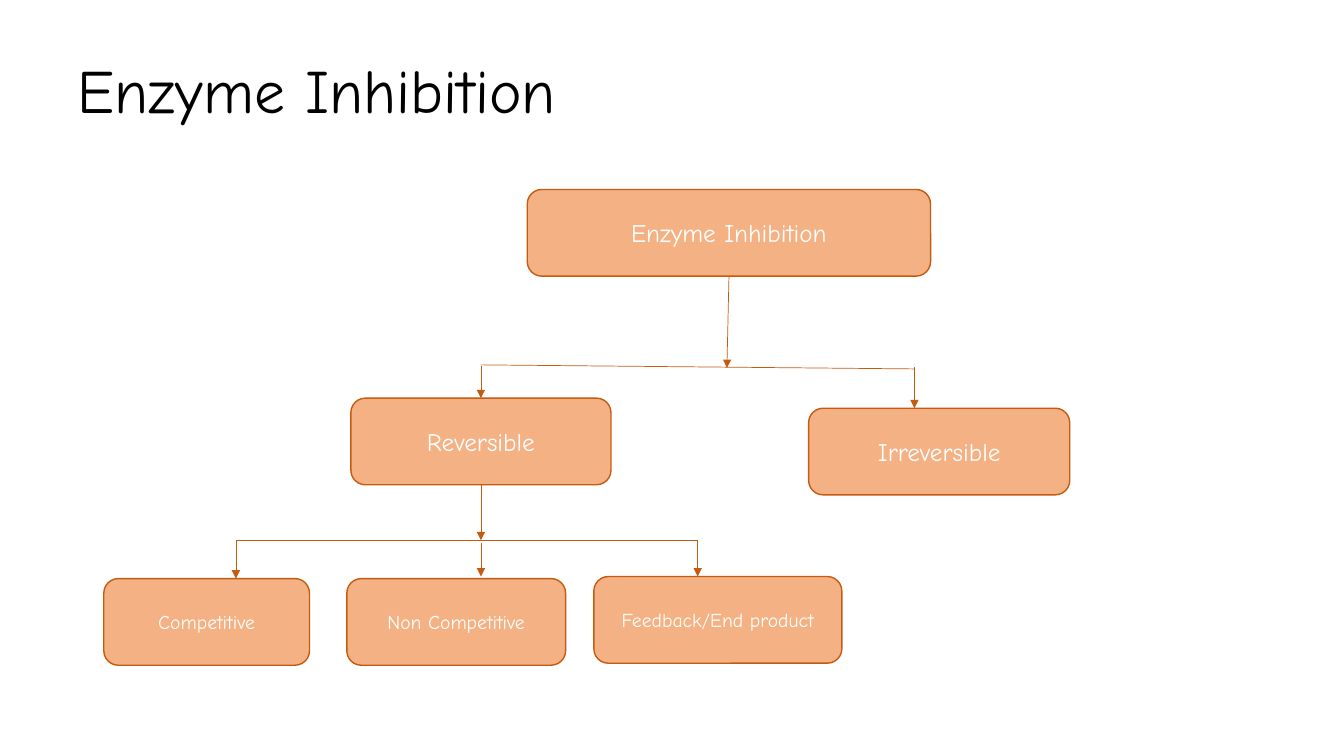
"""Build the enzyme inhibition classification slide."""
from lxml import etree
from pptx import Presentation
from pptx.dml.color import RGBColor
from pptx.enum.shapes import MSO_CONNECTOR, MSO_SHAPE
from pptx.enum.text import MSO_ANCHOR, PP_ALIGN
from pptx.oxml.ns import qn
from pptx.util import Inches, Pt

FONT = "Comic Neue"
BLACK, WHITE, PEACH, RUST = "000000", "FFFFFF", "F4B183", "C55A11"
TITLE = "Enzyme Inhibition"
BOX_HEIGHT = 0.86
TOP, BOTTOM = 0, 2

# label: (left, top, width, text size)
BOXES = {
    "Enzyme Inhibition": (5.23, 1.88, 4, 18),
    "Reversible": (3.48, 3.95, 2.58, 18),
    "Irreversible": (8.02, 4.05, 2.59, 18),
    "Competitive": (1.03, 5.74, 2.04, 14),
    "Non Competitive": (3.44, 5.74, 2.17, 14),
    "Feedback/End product": (5.89, 5.72, 2.46, 14),
}

# start, end, joined start (label, side), joined end (label, side)
ARROWS = [
    ((7.23, 2.74), (7.21, 3.65), ("Enzyme Inhibition", BOTTOM), None),
    ((4.77, 3.63), (4.77, 3.95), None, ("Reversible", TOP)),
    ((9.07, 3.64), (9.07, 4.05), None, None),
    ((4.77, 4.81), (4.77, 5.36), ("Reversible", BOTTOM), None),
    ((2.34, 5.36), (2.34, 5.74), None, None),
    ((4.77, 5.39), (4.77, 5.72), None, None),
    ((6.92, 5.36), (6.92, 5.72), None, None),
]
BRANCHES = [((4.77, 3.62), (9.07, 3.66)), ((2.34, 5.36), (6.92, 5.36))]


def color(value):
    return RGBColor.from_string(value)


def write(shape, text, size, ink, align):
    frame = shape.text_frame
    frame.text = text
    frame.word_wrap = True
    frame.vertical_anchor = MSO_ANCHOR.MIDDLE
    paragraph = frame.paragraphs[0]
    paragraph.alignment = align
    font = paragraph.runs[0].font
    font.name, font.size = FONT, Pt(size)
    font.color.rgb = color(ink)
    return paragraph


def add_box(slide, label, left, top, width, size):
    box = slide.shapes.add_shape(
        MSO_SHAPE.ROUNDED_RECTANGLE,
        Inches(left), Inches(top), Inches(width), Inches(BOX_HEIGHT))
    box.shadow.inherit = False
    box.fill.solid()
    box.fill.fore_color.rgb = color(PEACH)
    box.line.color.rgb = color(RUST)
    box.line.width = Pt(1)
    write(box, label, size, WHITE, PP_ALIGN.CENTER)
    return box


def add_line(slide, start, end, arrow=False):
    line = slide.shapes.add_connector(
        MSO_CONNECTOR.STRAIGHT, *map(Inches, start + end))
    line.line.color.rgb = color(RUST)
    line.line.width = Pt(0.5)
    properties = line.line._get_or_add_ln()
    if arrow:
        etree.SubElement(properties, qn("a:tailEnd"), type="triangle")
    etree.SubElement(properties.getparent(), qn("a:effectLst"))
    return line


def main():
    deck = Presentation()
    deck.slide_width, deck.slide_height = Inches(13.33), Inches(7.5)
    slide = deck.slides.add_slide(deck.slide_layouts[5])

    title = slide.shapes.title
    title.left, title.top = Inches(0.67), Inches(0.3)
    title.width, title.height = Inches(12), Inches(1.25)
    write(title, TITLE, 44, BLACK, PP_ALIGN.LEFT).line_spacing = 0.9

    boxes = {label: add_box(slide, label, *place) for label, place in BOXES.items()}

    for start, end in BRANCHES:
        add_line(slide, start, end)
    for start, end, source, target in ARROWS:
        arrow = add_line(slide, start, end, arrow=True)
        if source:
            arrow.begin_connect(boxes[source[0]], source[1])
        if target:
            arrow.end_connect(boxes[target[0]], target[1])

    deck.save("out.pptx")


if __name__ == "__main__":
    main()
